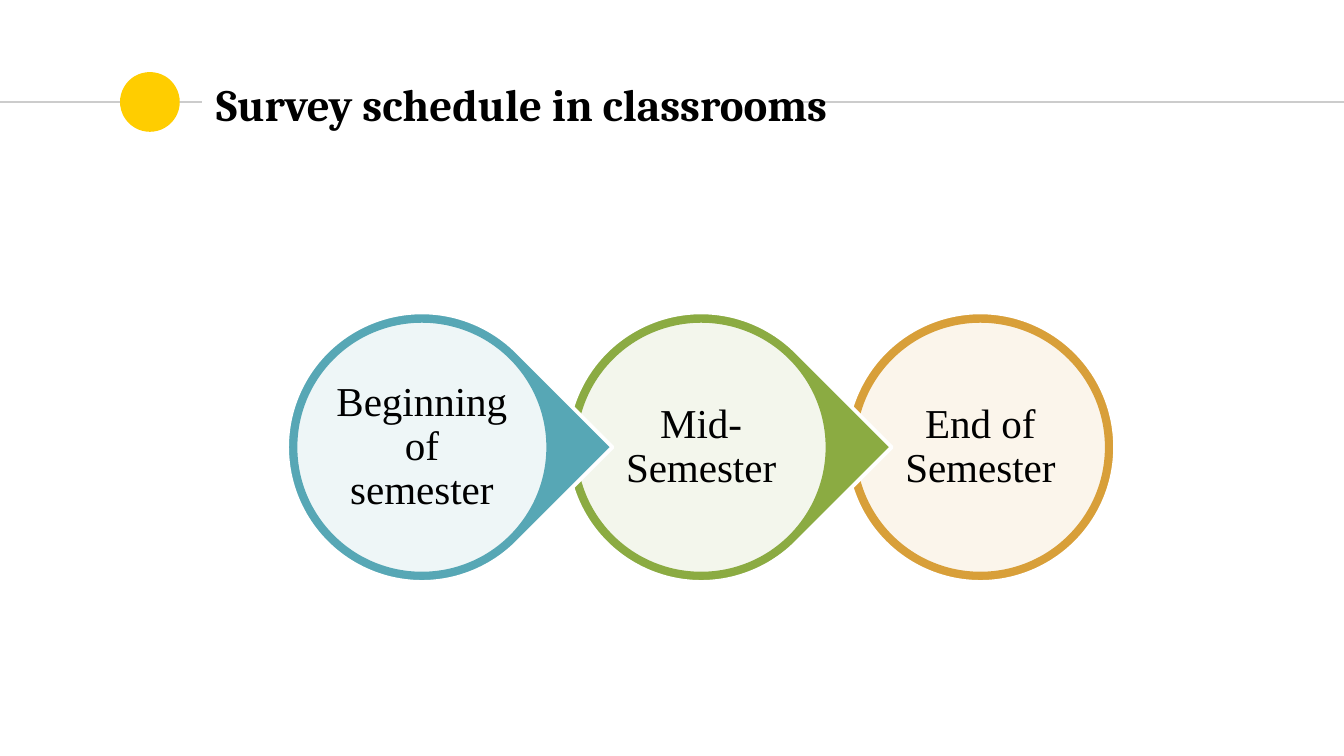
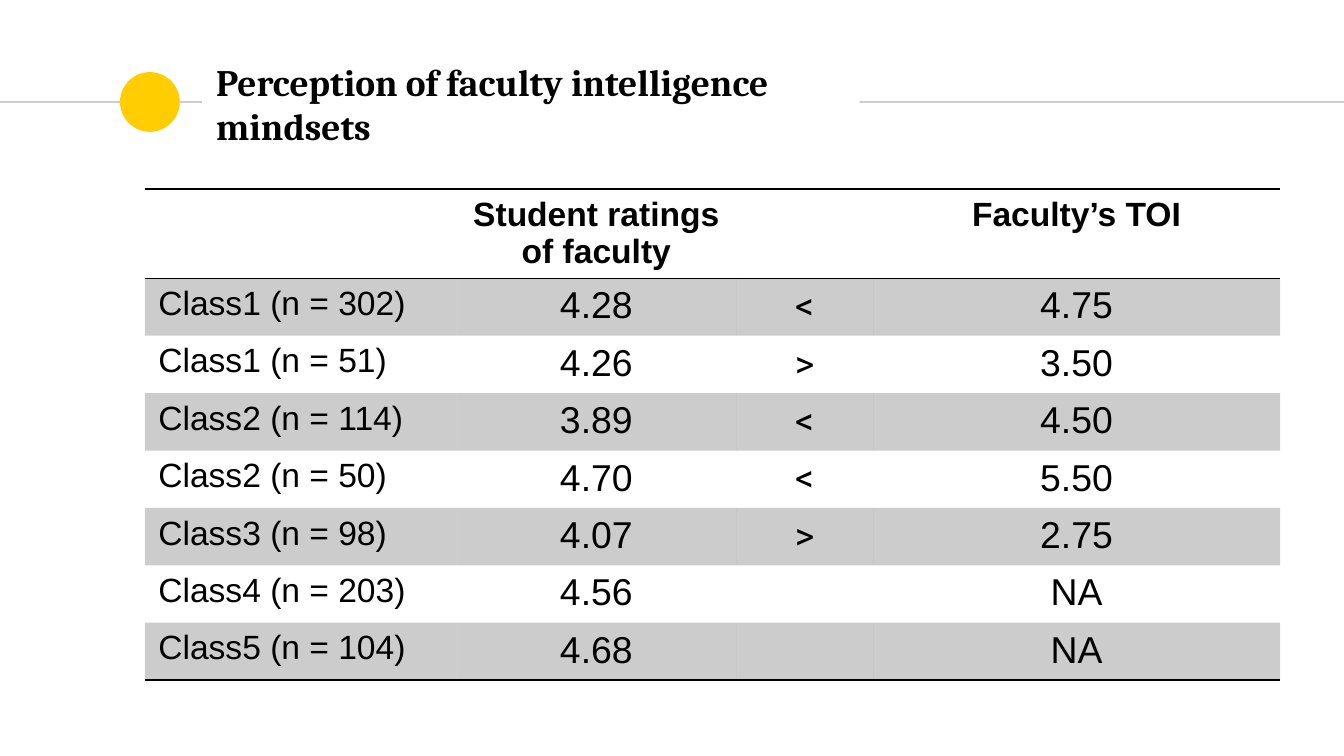
from lxml import etree
from pptx import Presentation
from pptx import util as u
from pptx.dml import color
from pptx.enum import shapes, text
from pptx.oxml import ns

Pt = u.Pt
BLACK = color.RGBColor(0x00, 0x00, 0x00)
WHITE = color.RGBColor(0xFF, 0xFF, 0xFF)
GRAY = color.RGBColor(0xCC, 0xCC, 0xCC)
GOLD = color.RGBColor(0xFF, 0xCD, 0x00)
TEAL = color.RGBColor(0x57, 0xA7, 0xB5)
GREEN = color.RGBColor(0x8B, 0xAB, 0x42)
AMBER = color.RGBColor(0xD8, 0x9F, 0x39)


def draw(slide, kind, x, y, size, fill, line=None):
    shape = slide.shapes.add_shape(kind, Pt(x), Pt(y), Pt(size), Pt(size))
    shape.shadow.inherit = False
    shape.fill.solid()
    shape.fill.fore_color.rgb = fill
    if line is None:
        shape.line.fill.background()
    else:
        shape.line.color.rgb = line
        shape.line.width = Pt(2)
    return shape


def fade(props, share):
    tint = props.find(ns.qn("a:solidFill"))[0]
    etree.SubElement(tint, ns.qn("a:alpha")).set("val", str(share * 1000))


deck = Presentation()
deck.slide_width, deck.slide_height = Pt(720), Pt(405)

slides = []
for words, size, width in [
    ("Survey schedule in classrooms", 24, 366.5),
    ("Perception of faculty intelligence mindsets", 20, 352),
]:
    slide = deck.slides.add_slide(deck.slide_layouts[5])
    slides.append(slide)
    for start, end in [(0, 108), (415, 720)]:
        rule = slide.shapes.add_connector(
            shapes.MSO_CONNECTOR.STRAIGHT, Pt(start), Pt(54.6), Pt(end), Pt(54.6))
        rule.line.color.rgb = GRAY
        rule.line.width = Pt(0.75)
        etree.SubElement(rule._element.spPr, ns.qn("a:effectLst"))
    draw(slide, shapes.MSO_SHAPE.OVAL, 64.3, 38.6, 32, GOLD)

    title = slide.shapes.title
    slide.shapes._spTree.append(title._element)
    title.left, title.top = Pt(108.6), Pt(38.2)
    title.width, title.height = Pt(width), Pt(34.6)
    frame = title.text_frame
    frame.text = words
    frame.word_wrap = True
    frame.auto_size = text.MSO_AUTO_SIZE.NONE
    frame.vertical_anchor = text.MSO_ANCHOR.MIDDLE
    frame.margin_left = frame.margin_right = Pt(7.2)
    frame.margin_top = frame.margin_bottom = Pt(7.2)
    para = frame.paragraphs[0]
    para.alignment = text.PP_ALIGN.LEFT
    para.font.name = "Cambria"
    para.font.size = Pt(size)
    para.font.bold = True
    para.font.color.rgb = BLACK

first, second = slides
second.shapes.title.fill.solid()
second.shapes.title.fill.fore_color.rgb = WHITE

STEP, MID = 149.6, 239.6
OUTER, INNER, LABEL = 144.4, 135.4, 96.4
stages = [
    ("Beginning of semester", TEAL),
    ("Mid-Semester", GREEN),
    ("End of Semester", AMBER),
]
for i, (words, hue) in reversed(list(enumerate(stages))):
    center = 226 + i * STEP
    last = i == len(stages) - 1
    kind = shapes.MSO_SHAPE.OVAL if last else shapes.MSO_SHAPE.TEAR
    drop = draw(first, kind, center - OUTER / 2, MID - OUTER / 2, OUTER, hue, WHITE)
    if not last:
        drop.rotation = 45
    disc = draw(first, shapes.MSO_SHAPE.OVAL,
                center - INNER / 2, MID - INNER / 2, INNER, WHITE, hue)
    fade(disc._element.spPr, 90)

    label = first.shapes.add_textbox(
        Pt(center - LABEL / 2), Pt(MID - LABEL / 2), Pt(LABEL), Pt(LABEL))
    frame = label.text_frame
    frame.word_wrap = True
    frame.vertical_anchor = text.MSO_ANCHOR.MIDDLE
    frame.margin_left = frame.margin_right = Pt(2.2)
    frame.margin_top = frame.margin_bottom = Pt(2.2)
    para = frame.paragraphs[0]
    para.text = words
    para.alignment = text.PP_ALIGN.CENTER
    para.line_spacing = 0.9
    para.font.name = "Times New Roman"
    para.font.size = Pt(22)
    para.font.color.rgb = BLACK

rows = [
    ("", "Student ratings of faculty", "", "Faculty’s TOI"),
    ("Class1 (n = 302)", "4.28", "<", "4.75"),
    ("Class1 (n = 51)", "4.26", ">", "3.50"),
    ("Class2 (n = 114)", "3.89", "<", "4.50"),
    ("Class2 (n = 50)", "4.70", "<", "5.50"),
    ("Class3 (n = 98)", "4.07", ">", "2.75"),
    ("Class4 (n = 203)", "4.56", "", "NA"),
    ("Class5 (n = 104)", "4.68", "", "NA"),
]
widths = [167, 149.8, 73.4, 218]
heights = [47.8] + [30.75] * 7
table = second.shapes.add_table(
    len(rows), len(widths), Pt(77.6), Pt(101.3),
    Pt(sum(widths)), Pt(sum(heights))).table
table.first_row = table.horz_banding = False
style = table._tbl.tblPr.find(ns.qn("a:tableStyleId"))
style.text = "{2D5ABB26-0587-4C30-8999-92F81FD0307C}"
for col, width in zip(table.columns, widths):
    col.width = Pt(width)

for r, row in enumerate(rows):
    table.rows[r].height = Pt(heights[r])
    edges = {0: ["a:lnT", "a:lnB"], len(rows) - 1: ["a:lnB"]}.get(r, [])
    for c, words in enumerate(row):
        cell = table.cell(r, c)
        props = cell._tc.get_or_add_tcPr()
        for edge in edges:
            line = etree.SubElement(props, ns.qn(edge), w=str(Pt(1)))
            solid = etree.SubElement(line, ns.qn("a:solidFill"))
            etree.SubElement(solid, ns.qn("a:srgbClr"), val=str(BLACK))
        if r % 2:
            cell.fill.solid()
            cell.fill.fore_color.rgb = BLACK
            fade(props, 20)
        else:
            cell.fill.background()
        para = cell.text_frame.paragraphs[0]
        para.text = words
        para.alignment = text.PP_ALIGN.CENTER if c else text.PP_ALIGN.LEFT
        para.font.name = "Roboto" if r and c == 2 else "Arial"
        para.font.size = Pt(20 if r and c and words else 18)
        para.font.bold = r == 0
        para.font.color.rgb = BLACK

deck.save("out.pptx")
